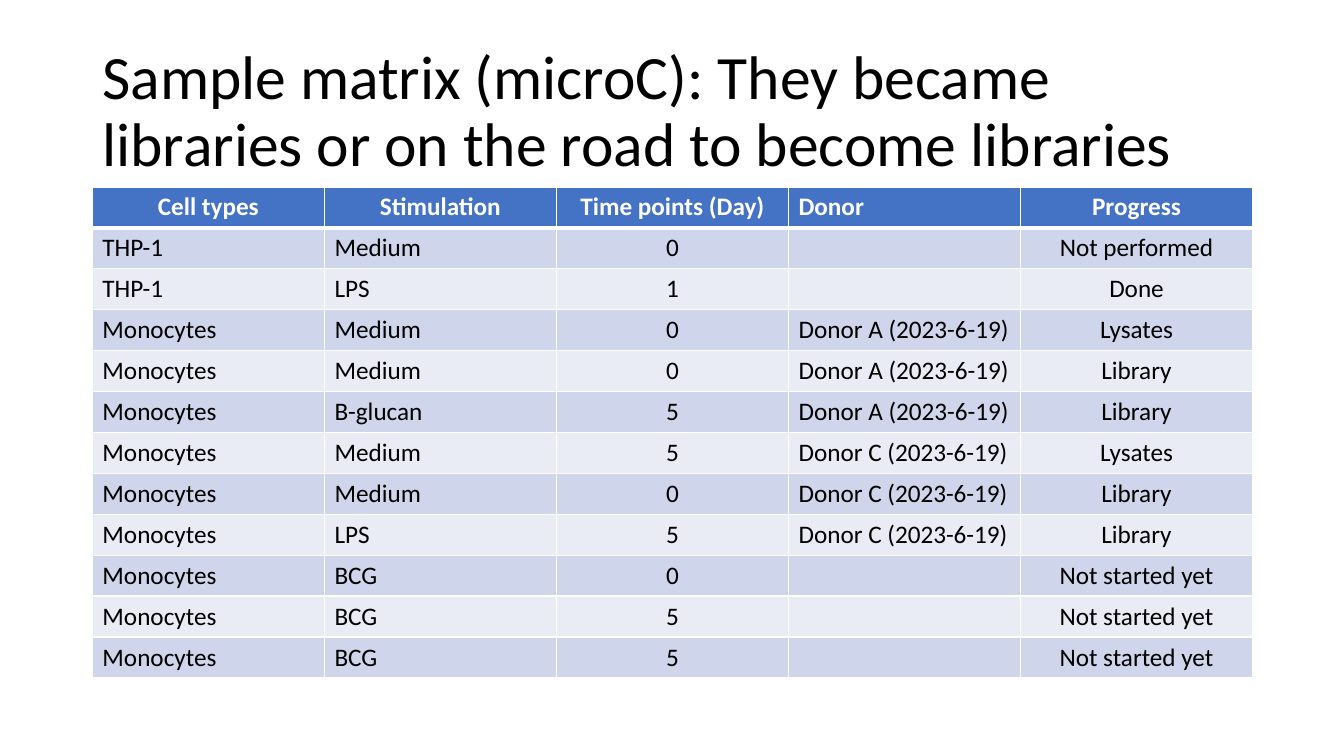
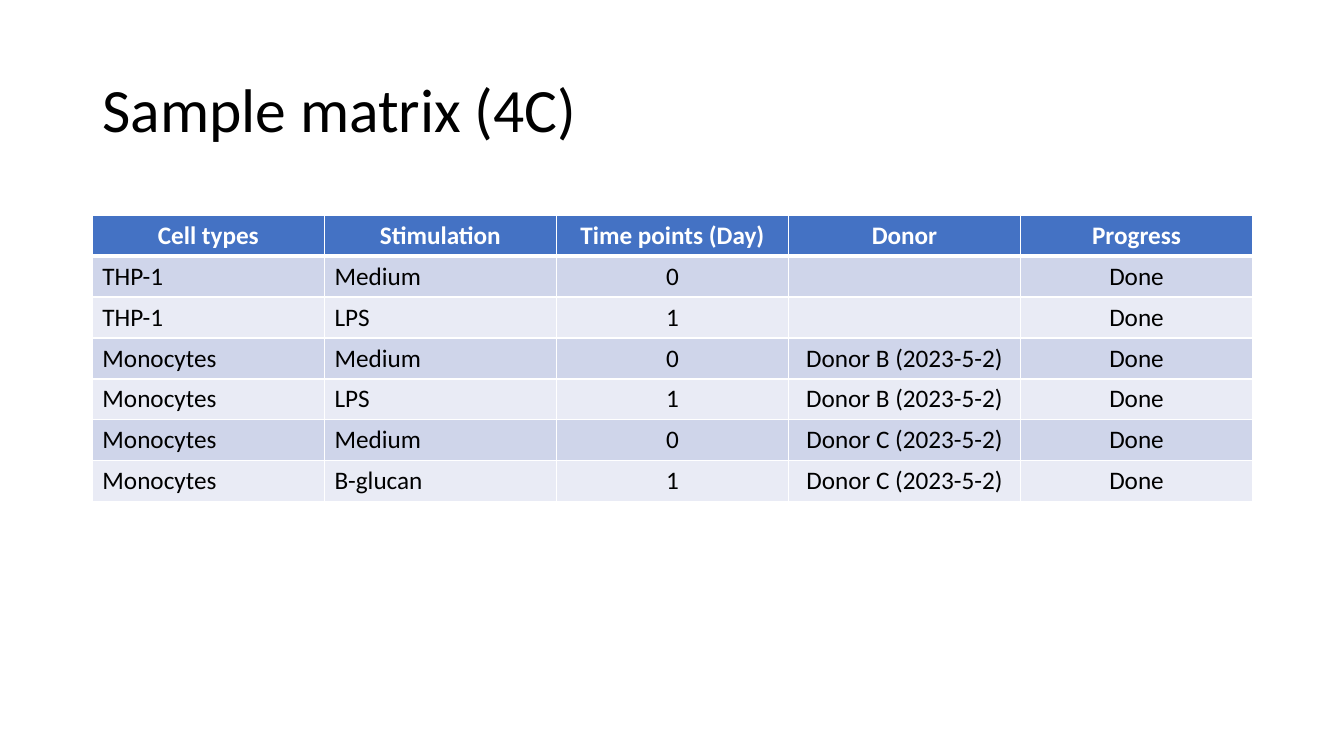
from lxml.etree import SubElement
from pptx import Presentation
from pptx.dml.color import RGBColor
from pptx.enum.text import MSO_ANCHOR, PP_ALIGN
from pptx.oxml.ns import qn
from pptx.util import Emu, Pt

COLORS = {
    "text": "000000",
    "header_text": "FFFFFF",
    "header": "4472C4",
    "odd_row": "CFD5EA",
    "even_row": "E9EBF5",
    "border": "FFFFFF",
}
FONT = "Calibri"
TITLE_FORMAT = {"name": FONT, "size": Pt(44), "bold": False}
HEADER_FORMAT = {"name": FONT, "size": Pt(18), "bold": True}
BODY_FORMAT = {"name": FONT, "size": Pt(18), "bold": False}

# Lengths in px, 96 to the inch
EMU_PER_PX = 9525
PAGE_WIDTH, PAGE_HEIGHT = 1280, 720
TITLE_BOX = (88, 38, 1104, 139)
TABLE_LEFT, COLUMN_WIDTH, ROW_HEIGHT = 88, 221, 39

LEFT, CENTER = PP_ALIGN.LEFT, PP_ALIGN.CENTER
HEADINGS = ("Cell types", "Stimulation", "Time points (Day)", "Donor", "Progress")

MICROC_ROWS = [
    ("THP-1", "Medium", "0", "", "Not performed"),
    ("THP-1", "LPS", "1", "", "Done"),
    ("Monocytes", "Medium", "0", "Donor A (2023-6-19)", "Lysates"),
    ("Monocytes", "Medium", "0", "Donor A (2023-6-19)", "Library"),
    ("Monocytes", "B-glucan", "5", "Donor A (2023-6-19)", "Library"),
    ("Monocytes", "Medium", "5", "Donor C (2023-6-19)", "Lysates"),
    ("Monocytes", "Medium", "0", "Donor C (2023-6-19)", "Library"),
    ("Monocytes", "LPS", "5", "Donor C (2023-6-19)", "Library"),
    ("Monocytes", "BCG", "0", "", "Not started yet"),
    ("Monocytes", "BCG", "5", "", "Not started yet"),
    ("Monocytes", "BCG", "5", "", "Not started yet"),
]
FOUR_C_ROWS = [
    ("THP-1", "Medium", "0", "", "Done"),
    ("THP-1", "LPS", "1", "", "Done"),
    ("Monocytes", "Medium", "0", "Donor B (2023-5-2)", "Done"),
    ("Monocytes", "LPS", "1", "Donor B (2023-5-2)", "Done"),
    ("Monocytes", "Medium", "0", "Donor C (2023-5-2)", "Done"),
    ("Monocytes", "B-glucan", "1", "Donor C (2023-5-2)", "Done"),
]


def px(length):
    return Emu(length * EMU_PER_PX)


def write_text(para, text, formats, color):
    span = para.add_run()
    span.text = text
    for attribute, value in formats.items():
        setattr(span.font, attribute, value)
    span.font.color.rgb = RGBColor.from_string(COLORS[color])


def add_title(page, box, text):
    title = page.shapes.add_textbox(*map(px, box))
    frame = title.text_frame
    frame.word_wrap = True
    frame.vertical_anchor = MSO_ANCHOR.MIDDLE
    para = frame.paragraphs[0]
    para.line_spacing = 0.9
    write_text(para, text, TITLE_FORMAT, "text")


def set_borders(cell, widths):
    """Draw the cell's borders; widths gives points for each side."""
    properties = cell._tc.get_or_add_tcPr()
    for index, side in enumerate(("L", "R", "T", "B")):
        line = SubElement(properties, qn(f"a:ln{side}"), w=str(Pt(widths[side])))
        fill = SubElement(line, qn("a:solidFill"))
        SubElement(fill, qn("a:srgbClr"), val=COLORS["border"])
        properties.insert(index, line)


def style_cell(cell, text, row, align):
    if row == 0:
        fill, color, formats = "header", "header_text", HEADER_FORMAT
    else:
        fill = "odd_row" if row % 2 else "even_row"
        color, formats = "text", BODY_FORMAT
    cell.fill.solid()
    cell.fill.fore_color.rgb = RGBColor.from_string(COLORS[fill])
    # A heavier line parts the header from the body
    set_borders(cell, {"L": 1, "R": 1, "T": 3 if row == 1 else 1, "B": 3 if row == 0 else 1})
    para = cell.text_frame.paragraphs[0]
    para.alignment = align
    if text:
        write_text(para, text, formats, color)


def add_matrix(page, left, top, rows, donor_align):
    lines = [HEADINGS, *rows]
    count = len(HEADINGS)
    size = (count * COLUMN_WIDTH, len(lines) * ROW_HEIGHT)
    frame = page.shapes.add_table(len(lines), count, *map(px, (left, top, *size)))
    table = frame.table
    table.horz_banding = False
    for column in table.columns:
        column.width = px(COLUMN_WIDTH)
    header_aligns = (CENTER, CENTER, CENTER, donor_align, CENTER)
    body_aligns = (LEFT, LEFT, CENTER, donor_align, CENTER)
    for row, texts in enumerate(lines):
        table.rows[row].height = px(ROW_HEIGHT)
        aligns = body_aligns if row else header_aligns
        for column, (text, align) in enumerate(zip(texts, aligns)):
            style_cell(table.cell(row, column), text, row, align)


def add_matrix_page(deck, title, top, rows, donor_align):
    page = deck.slides.add_slide(deck.slide_layouts[6])
    add_title(page, TITLE_BOX, title)
    add_matrix(page, TABLE_LEFT, top, rows, donor_align)


def main():
    deck = Presentation()
    deck.slide_width, deck.slide_height = px(PAGE_WIDTH), px(PAGE_HEIGHT)
    add_matrix_page(
        deck,
        "Sample matrix (microC): They became libraries or on the road to become libraries",
        178, MICROC_ROWS, LEFT,
    )
    add_matrix_page(deck, "Sample matrix (4C)", 205, FOUR_C_ROWS, CENTER)
    deck.save("out.pptx")


if __name__ == "__main__":
    main()
